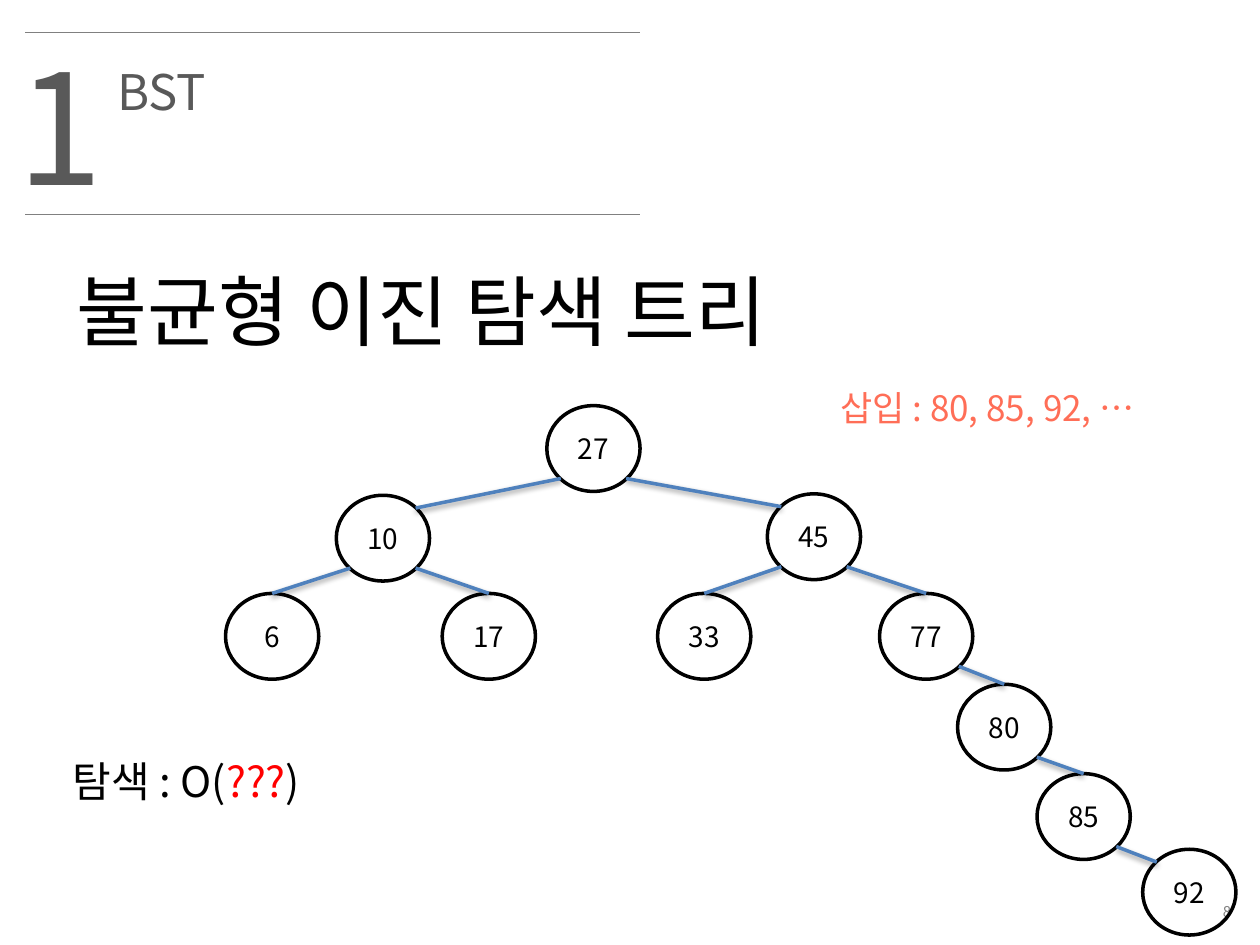
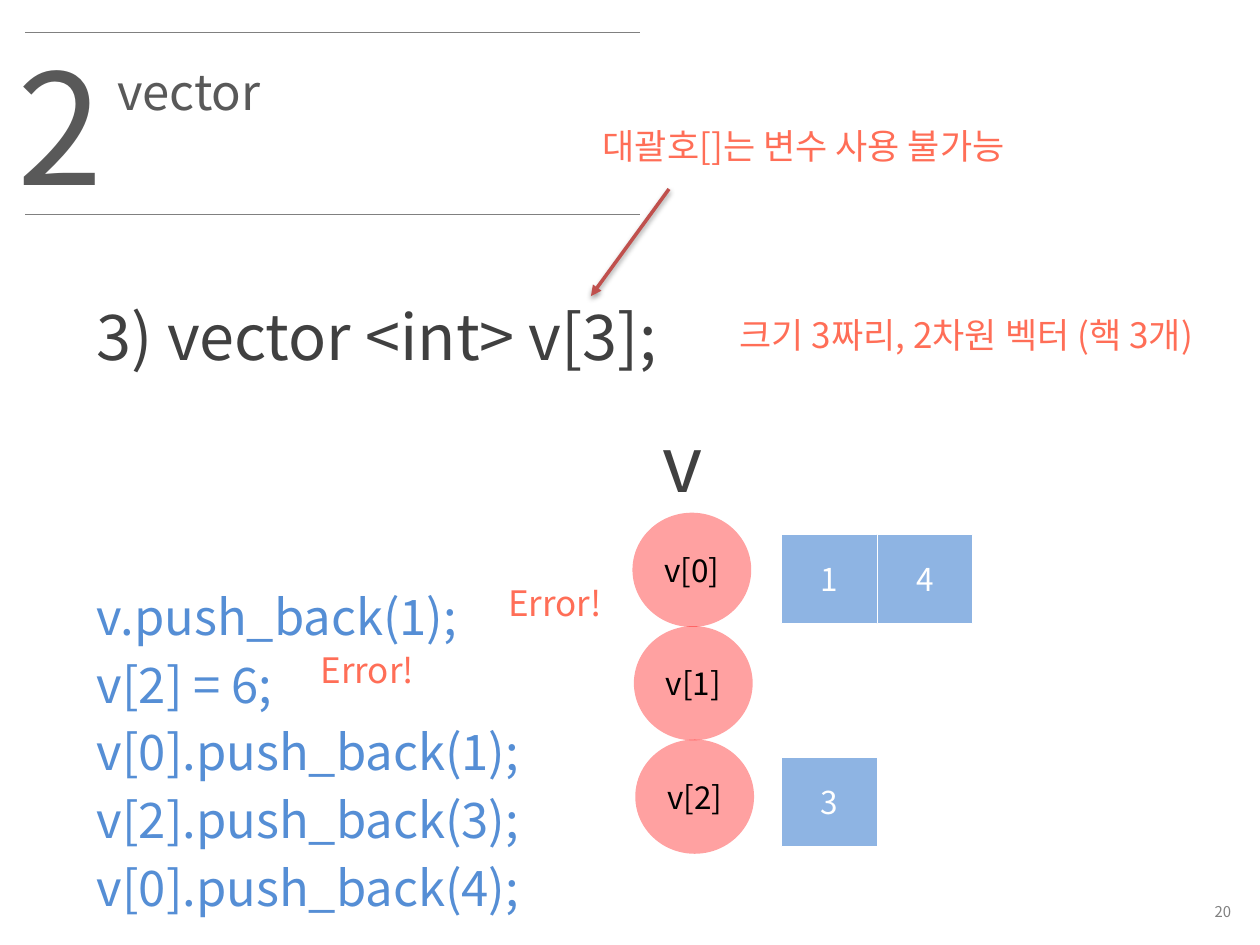
from dataclasses import dataclass
from lxml.etree import SubElement as Sub
from pptx import Presentation
from pptx.dml.color import RGBColor as Rgb
from pptx.enum.shapes import MSO_CONNECTOR as Link, MSO_SHAPE as Form
from pptx.enum.text import MSO_ANCHOR as Anchor, MSO_AUTO_SIZE as Auto, PP_ALIGN as Align
from pptx.oxml.ns import qn
from pptx.util import Pt


@dataclass(frozen=True)
class Theme:
    face: str = "Noto Sans CJK KR"
    black: str = "000000"
    white: str = "FFFFFF"
    gray: str = "808080"
    head: str = "595959"
    dark: str = "404040"
    code: str = "558ED5"
    note: str = "FF6E57"
    red: str = "FF0000"
    edge: str = "4F81BD"
    arrow: str = "C0504D"
    cell: str = "8EB4E3"
    huge: float = 88
    large: float = 44
    mid: float = 36
    sub: float = 28
    cost: float = 24
    small: float = 20
    item: float = 18
    node: float = 16
    foot: float = 8.5


def write(shape, text, size, hue, align=Align.LEFT, hang=0, anchor=Anchor.TOP, wrap=True):
    frame = shape.text_frame
    frame.text = text
    frame.word_wrap = wrap
    frame.auto_size = Auto.NONE
    frame.vertical_anchor = anchor
    for para in frame.paragraphs:
        props = para._p.get_or_add_pPr()
        props.set("marL", str(Pt(hang)))
        props.set("indent", str(-Pt(hang)))
        Sub(props, qn("a:buNone"))
        para.alignment = align
        para.space_before = Pt(0)
        font = para.font
        font.size = Pt(size)
        font.color.rgb = Rgb.from_string(hue)
        font.name = look.face
        Sub(props.find(qn("a:defRPr")), qn("a:ea"), typeface=look.face)
    return frame


def label(page, place, *args, **style):
    box = page.shapes.add_textbox(*map(Pt, place))
    return write(box, *args, **style)


look = Theme()
hang = 27
deck = Presentation()
deck.slide_width, deck.slide_height = Pt(720), Pt(540)
pages = []

for layout, part, title, number in [(5, "1", "BST", "8"), (1, "2", "vector", "20")]:
    page = deck.slides.add_slide(deck.slide_layouts[layout])
    pages.append(page)
    head = page.shapes.title
    head.left, head.top, head.width, head.height = map(Pt, (59.8, 31.7, 203.8, 41))
    write(head, title, look.sub, look.head, hang=hang)
    label(page, (2.9, 14.4, 56.9, 113.8), part, look.huge, look.head, hang=hang)
    label(page, (558.7, 511.2, 151.9, 19.4), number, look.foot, look.gray,
          align=Align.RIGHT, anchor=Anchor.MIDDLE)
    for y in (18.7, 122.4):
        rule = page.shapes.add_connector(Link.STRAIGHT, Pt(14.4), Pt(y), Pt(365.8), Pt(y))
        rule.line.color.rgb = Rgb.from_string(look.gray)
        rule.line.width = Pt(0.75)
        Sub(rule._element.spPr, qn("a:effectLst"))

tree, vector = pages

label(tree, (36.7, 146.9, 572.4, 60.5), "불균형 이진 탐색 트리", look.large, look.black)
label(tree, (473, 217.4, 187.2, 31.7), "삽입 : 80, 85, 92, …", look.small, look.note, hang=hang)
cost = label(tree, (34.6, 428.4, 183.6, 36), "탐색 : O(", look.cost, look.black)
doubt = cost.paragraphs[0].add_run()
doubt.text = "???"
doubt.font.color.rgb = Rgb.from_string(look.red)
cost.paragraphs[0].add_run().text = ")"

wide, high = 53.3, 49
nodes = {
    27: (312.5, 231.8), 10: (192.2, 283), 45: (438.5, 282.2),
    6: (128.9, 339.1), 17: (252.7, 339.1), 33: (375.8, 339.1), 77: (502.6, 339.1),
    80: (547.2, 391), 85: (592.6, 442.1), 92: (653, 485.3),
}
for key, (x, y) in nodes.items():
    ring = tree.shapes.add_shape(Form.OVAL, Pt(x), Pt(y), Pt(wide), Pt(high))
    ring.shadow.inherit = False
    ring.fill.background()
    ring.line.color.rgb = Rgb.from_string(look.black)
    ring.line.width = Pt(2)
    write(ring, str(key), look.node, look.black, align=Align.CENTER,
          anchor=Anchor.MIDDLE, wrap=False)

edges = [(27, 10), (27, 45), (10, 6), (10, 17), (45, 33), (45, 77), (77, 80), (80, 85), (85, 92)]
slant = 0.35
for top, low in edges:
    (ax, ay), (bx, by) = nodes[top], nodes[low]
    side = slant if bx > ax else -slant
    corner = low in (10, 45, 92)
    start = ax + wide * (0.5 + side), ay + high * (0.5 + slant)
    end = (bx + wide * (0.5 - side), by + high * (0.5 - slant)) if corner else (bx + wide / 2, by)
    edge = tree.shapes.add_connector(Link.STRAIGHT, *map(Pt, start + end))
    edge.line.color.rgb = Rgb.from_string(look.edge)
    edge.line.width = Pt(2)

label(vector, (48.2, 166.3, 368.6, 51.1), "3) vector <int> v[3];", look.mid, look.dark)
label(vector, (371.5, 234, 45.4, 60.5), "v", look.large, look.dark)
label(vector, (415.4, 175.7, 294.5, 31.7), "크기 3짜리, 2차원 벡터 (핵 3개)",
      look.small, look.note, hang=hang)
for place, text in [
    ((314.6, 67.7, 289.4, 31.7), "대괄호[]는 변수 사용 불가능"),
    ((264.2, 329, 105.8, 31.7), "Error!"),
    ((157, 367.2, 105.8, 31.7), "Error!"),
]:
    label(vector, place, text, look.small, look.note, align=Align.CENTER, hang=hang)

body = vector.placeholders[1]
body.left, body.top, body.width, body.height = map(Pt, (48.2, 326.5, 313.2, 200))
lines = ["v.push_back(1);", "v[2] = 6;", "v[0].push_back(1);", "v[2].push_back(3);", "v[0].push_back(4);"]
for para in write(body, "\n".join(lines), look.sub, look.code).paragraphs:
    para.line_spacing = Pt(38.7)

arrow = vector.shapes.add_connector(Link.STRAIGHT, Pt(382.3), Pt(108), Pt(337.7), Pt(169.2))
arrow.line.color.rgb = Rgb.from_string(look.arrow)
arrow.line.width = Pt(2)
Sub(arrow._element.spPr.find(qn("a:ln")), qn("a:tailEnd"), type="triangle")

for i in range(3):
    disc = vector.shapes.add_shape(Form.OVAL, Pt(361.4 + 0.8 * i), Pt(293 + 64.8 * i), Pt(67.9), Pt(65.3))
    disc.shadow.inherit = False
    disc.fill.solid()
    disc.fill.fore_color.rgb = Rgb.from_string(look.red)
    tint = disc._element.spPr.find(qn("a:solidFill")).find(qn("a:srgbClr"))
    Sub(tint, qn("a:alpha"), val="37000")
    disc.line.fill.background()
    write(disc, f"v[{i}]", look.item, look.black, align=Align.CENTER,
          anchor=Anchor.MIDDLE, wrap=False)

for y, row in [(305.3, "14"), (432.7, "3")]:
    for i, value in enumerate(row):
        cell = vector.shapes.add_shape(Form.RECTANGLE, Pt(446.4 + 54.7 * i), Pt(y), Pt(54.7), Pt(51.1))
        cell.shadow.inherit = False
        cell.fill.solid()
        cell.fill.fore_color.rgb = Rgb.from_string(look.cell)
        cell.line.color.rgb = Rgb.from_string(look.white)
        cell.line.width = Pt(0.25)
        write(cell, value, look.item, look.white, align=Align.CENTER, anchor=Anchor.MIDDLE)

deck.save("out.pptx")
